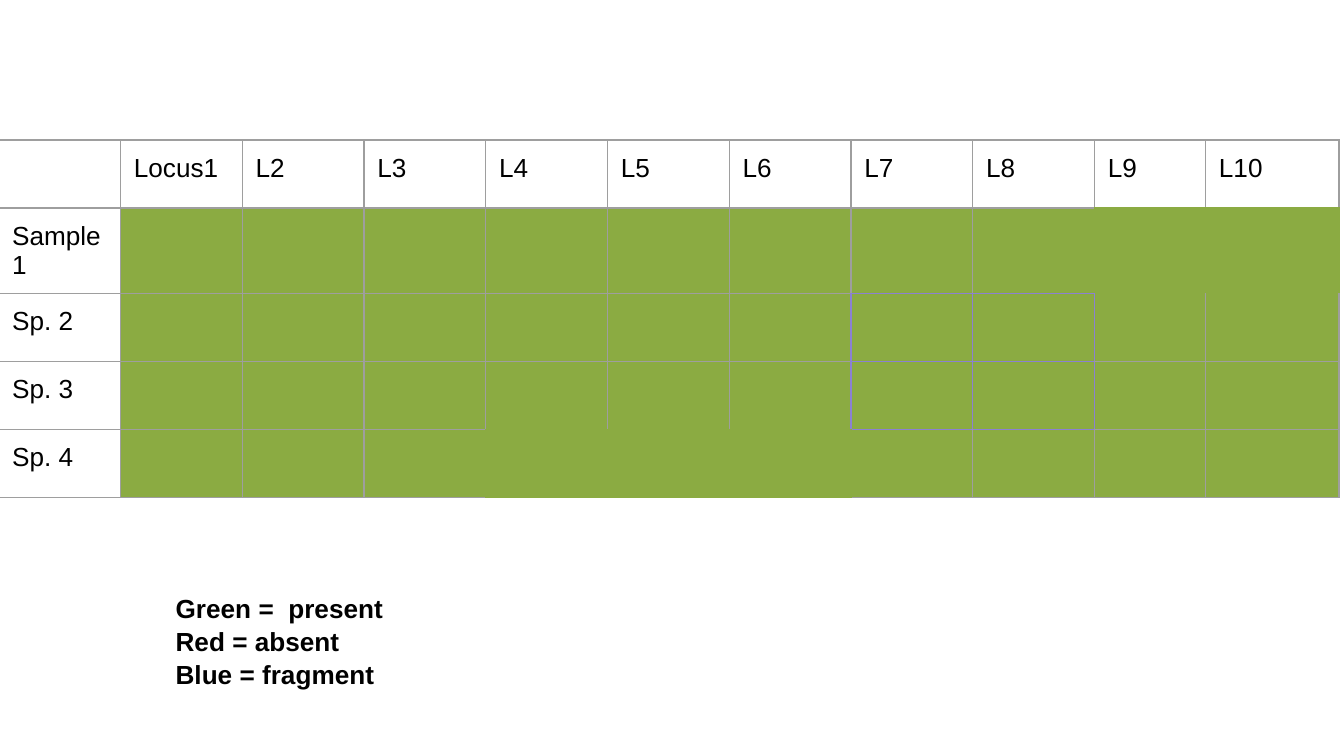
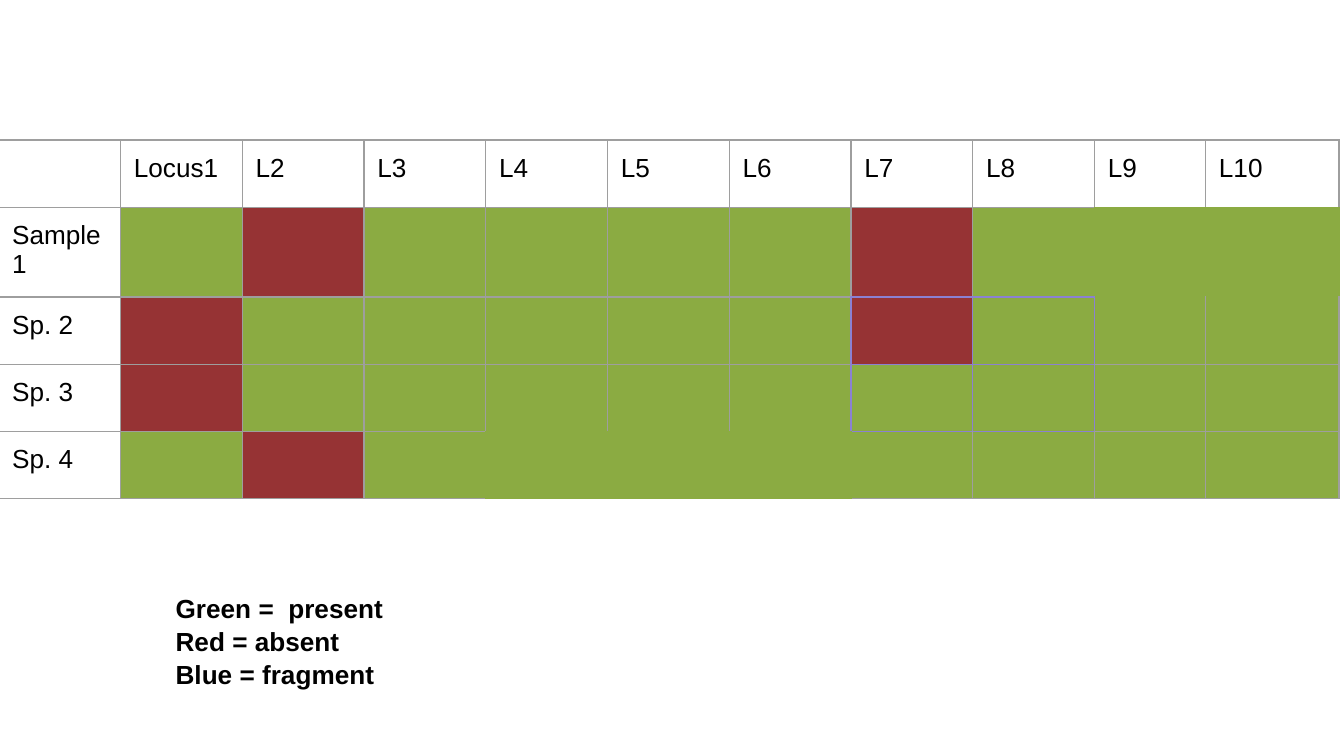
from dataclasses import dataclass

from lxml import etree
from pptx import Presentation
from pptx.dml.color import RGBColor
from pptx.oxml import ns
from pptx.util import Pt

LOCI = ["Locus1", "L2", "L3", "L4", "L5", "L6", "L7", "L8", "L9", "L10"]
SAMPLES = ["Sample 1", "Sp. 2", "Sp. 3", "Sp. 4"]
LEGEND = ["Green =  present", "Red = absent", "Blue = fragment"]

ABSENT_BY_SLIDE = [
    {},
    {
        "Sample 1": ["L2", "L7"],
        "Sp. 2": ["Locus1", "L7"],
        "Sp. 3": ["Locus1"],
        "Sp. 4": ["L2"],
    },
]


@dataclass(frozen=True)
class Theme:
    font: str = "Arial"
    size: float = 14
    ink: str = "000000"
    present: str = "8BAB42"
    absent: str = "963334"
    grid: str = "9E9E9E"
    highlight: str = "8B81D2"
    border: float = 0.75
    inset: float = 7.2


THEME = Theme()
SLIDE_SIZE = (720, 405)
TABLE_LEFT, TABLE_TOP = -0.7, 75
COLUMN_WIDTHS = [65.25] * 9 + [59.5, 71.5]
ROW_HEIGHTS = [31] + [30.5] * 4
LEGEND_BOX = (87, 309.5, 475, 55.5)

OUTLINED = {
    THEME.present: {"Sample 1": ["L9", "L10"], "Sp. 4": ["L4", "L5", "L6"]},
    THEME.highlight: {"Sp. 2": ["L7", "L8"], "Sp. 3": ["L7", "L8"]},
}
OUTLINE_COLORS = {
    (SAMPLES.index(sample) + 1, LOCI.index(locus) + 1): color
    for color, rows in OUTLINED.items()
    for sample, loci in rows.items()
    for locus in loci
}
SIDES = {"a:lnL": (0, -1), "a:lnR": (0, 1), "a:lnT": (-1, 0), "a:lnB": (1, 0)}


def write(frame, text, bold=False, spacing=None):
    for index, line in enumerate(text.split("\n")):
        paragraph = frame.add_paragraph() if index else frame.paragraphs[0]
        if spacing:
            paragraph.line_spacing = spacing
        run = paragraph.add_run()
        run.text = line
        run.font.name = THEME.font
        run.font.size = Pt(THEME.size)
        run.font.bold = bold
        run.font.color.rgb = RGBColor.from_string(THEME.ink)


def set_insets(target):
    for side in ("left", "top", "right", "bottom"):
        setattr(target, f"margin_{side}", Pt(THEME.inset))


def draw_borders(cell, row, column):
    properties = cell._tc.get_or_add_tcPr()
    for position, (tag, (down, across)) in enumerate(SIDES.items()):
        neighbour = OUTLINE_COLORS.get((row + down, column + across), THEME.grid)
        color = OUTLINE_COLORS.get((row, column), neighbour)
        line = etree.Element(ns.qn(tag), w=str(Pt(THEME.border)))
        fill = etree.SubElement(line, ns.qn("a:solidFill"))
        etree.SubElement(fill, ns.qn("a:srgbClr"), val=color)
        properties.insert(position, line)


def cell_content(row, column, absent):
    if row == 0:
        return (LOCI[column - 1] if column else ""), None
    sample = SAMPLES[row - 1]
    if column == 0:
        return sample, None
    missing = LOCI[column - 1] in absent.get(sample, [])
    return "", THEME.absent if missing else THEME.present


def add_locus_table(slide, absent):
    shape = slide.shapes.add_table(
        len(ROW_HEIGHTS), len(COLUMN_WIDTHS), Pt(TABLE_LEFT), Pt(TABLE_TOP),
        Pt(sum(COLUMN_WIDTHS)), Pt(sum(ROW_HEIGHTS)),
    )
    table = shape.table
    table.first_row = table.horz_banding = False
    for column, width in zip(table.columns, COLUMN_WIDTHS):
        column.width = Pt(width)
    for row_index, height in enumerate(ROW_HEIGHTS):
        table.rows[row_index].height = Pt(height)
        for column_index in range(len(COLUMN_WIDTHS)):
            cell = table.cell(row_index, column_index)
            label, color = cell_content(row_index, column_index, absent)
            set_insets(cell)
            if label:
                write(cell.text_frame, label)
            if color:
                cell.fill.solid()
                cell.fill.fore_color.rgb = RGBColor.from_string(color)
            else:
                cell.fill.background()
            draw_borders(cell, row_index, column_index)


def add_legend(slide):
    frame = slide.shapes.add_textbox(*map(Pt, LEGEND_BOX)).text_frame
    frame.word_wrap = True
    set_insets(frame)
    write(frame, "\n".join(LEGEND), bold=True, spacing=1.05)


def main():
    presentation = Presentation()
    presentation.slide_width, presentation.slide_height = map(Pt, SLIDE_SIZE)
    for absent in ABSENT_BY_SLIDE:
        slide = presentation.slides.add_slide(presentation.slide_layouts[6])
        add_locus_table(slide, absent)
        add_legend(slide)
    presentation.save("out.pptx")


if __name__ == "__main__":
    main()
